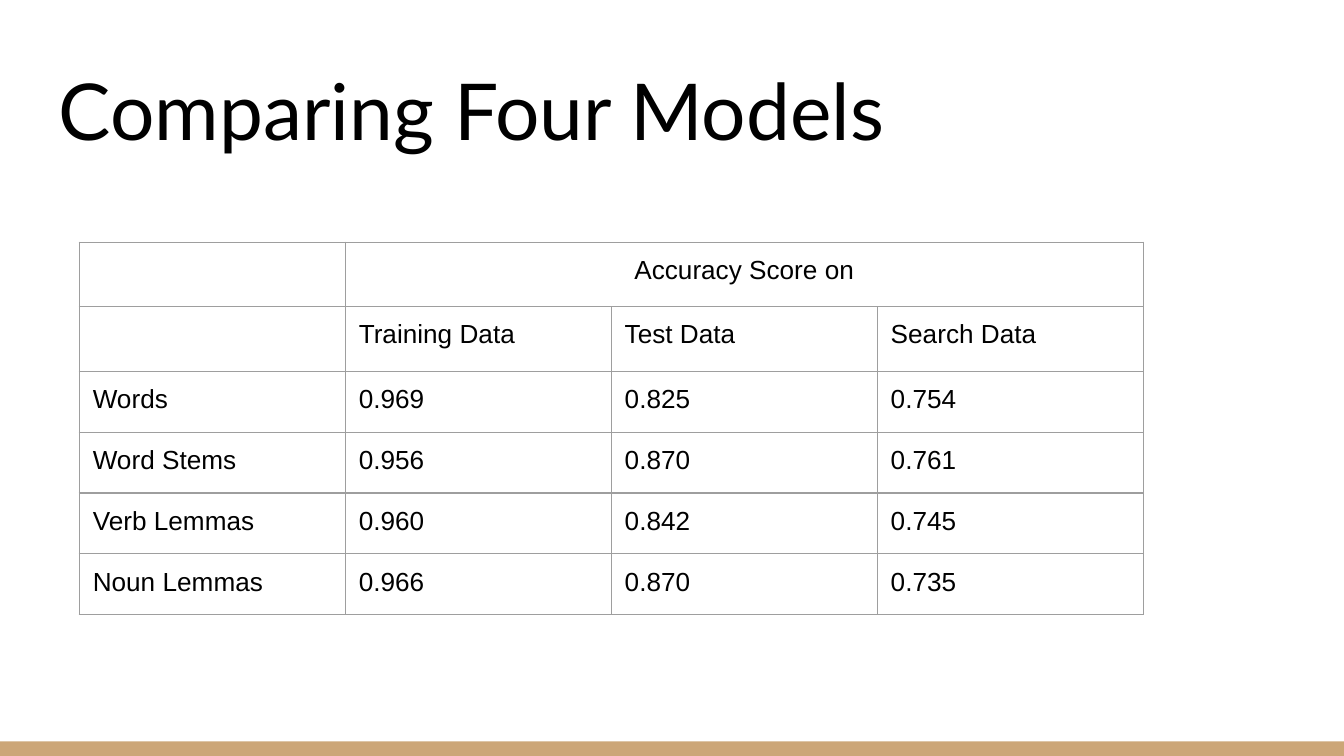
from lxml import etree
from pptx import Presentation
from pptx.dml.color import RGBColor
from pptx.enum.shapes import MSO_SHAPE
from pptx.enum.text import MSO_ANCHOR, PP_ALIGN
from pptx.oxml.ns import qn
from pptx.util import Pt

BLACK = RGBColor(0x00, 0x00, 0x00)
WHITE = RGBColor(0xFF, 0xFF, 0xFF)
TAN = RGBColor(0xCC, 0xA6, 0x77)
BORDER_GRAY = RGBColor(0x9E, 0x9E, 0x9E)
INSET = Pt(7.2)

ROWS = [
    ["", "Accuracy Score on", "", ""],
    ["", "Training Data", "Test Data", "Search Data"],
    ["Words", "0.969", "0.825", "0.754"],
    ["Word Stems", "0.956", "0.870", "0.761"],
    ["Verb Lemmas", "0.960", "0.842", "0.745"],
    ["Noun Lemmas", "0.966", "0.870", "0.735"],
]
ROW_HEIGHTS = [34.6] * 2 + [32.6] * 4
COLUMN_WIDTH = 142.5


def add_run(paragraph, text, font_name, size):
    run = paragraph.add_run()
    run.text = text
    run.font.name = font_name
    run.font.size = Pt(size)
    run.font.color.rgb = BLACK


def add_borders(cell):
    properties = cell._tc.get_or_add_tcPr()
    for position, side in enumerate(("lnL", "lnR", "lnT", "lnB")):
        line = etree.Element(qn(f"a:{side}"), w=str(Pt(0.75)))
        fill = etree.SubElement(line, qn("a:solidFill"))
        etree.SubElement(fill, qn("a:srgbClr"), val=str(BORDER_GRAY))
        properties.insert(position, line)


presentation = Presentation()
presentation.slide_width = Pt(720)
presentation.slide_height = Pt(405)
slide = presentation.slides.add_slide(presentation.slide_layouts[6])
slide.background.fill.solid()
slide.background.fill.fore_color.rgb = WHITE

# Footer bar
bar = slide.shapes.add_shape(MSO_SHAPE.RECTANGLE, Pt(0), Pt(397.2), Pt(720), Pt(7.8))
bar.shadow.inherit = False
bar.fill.solid()
bar.fill.fore_color.rgb = TAN
bar.line.fill.background()

# Title
title = slide.shapes.add_textbox(Pt(24.5), Pt(25.2), Pt(671), Pt(65.5))
frame = title.text_frame
frame.word_wrap = True
frame.vertical_anchor = MSO_ANCHOR.BOTTOM
frame.margin_left = frame.margin_right = INSET
frame.margin_top = frame.margin_bottom = INSET
add_run(frame.paragraphs[0], "Comparing Four Models", "Lato", 42)

# Accuracy table
table = slide.shapes.add_table(
    len(ROWS), len(ROWS[0]), Pt(42.5), Pt(129.75),
    Pt(COLUMN_WIDTH * len(ROWS[0])), Pt(sum(ROW_HEIGHTS)),
).table
table.first_row = False
table.horz_banding = False
for column in table.columns:
    column.width = Pt(COLUMN_WIDTH)
for row, height in zip(table.rows, ROW_HEIGHTS):
    row.height = Pt(height)

for row_index, texts in enumerate(ROWS):
    for column_index, text in enumerate(texts):
        cell = table.cell(row_index, column_index)
        cell.margin_left = cell.margin_right = INSET
        cell.margin_top = cell.margin_bottom = INSET
        cell.fill.background()
        add_borders(cell)
        paragraph = cell.text_frame.paragraphs[0]
        if text:
            add_run(paragraph, text, "Arial", 14)
        else:
            # Keeps an empty cell from stretching its row
            etree.SubElement(paragraph._p, qn("a:endParaRPr"), sz="1400")

table.cell(0, 1).merge(table.cell(0, 3))
table.cell(0, 1).text_frame.paragraphs[0].alignment = PP_ALIGN.CENTER

presentation.save("out.pptx")
